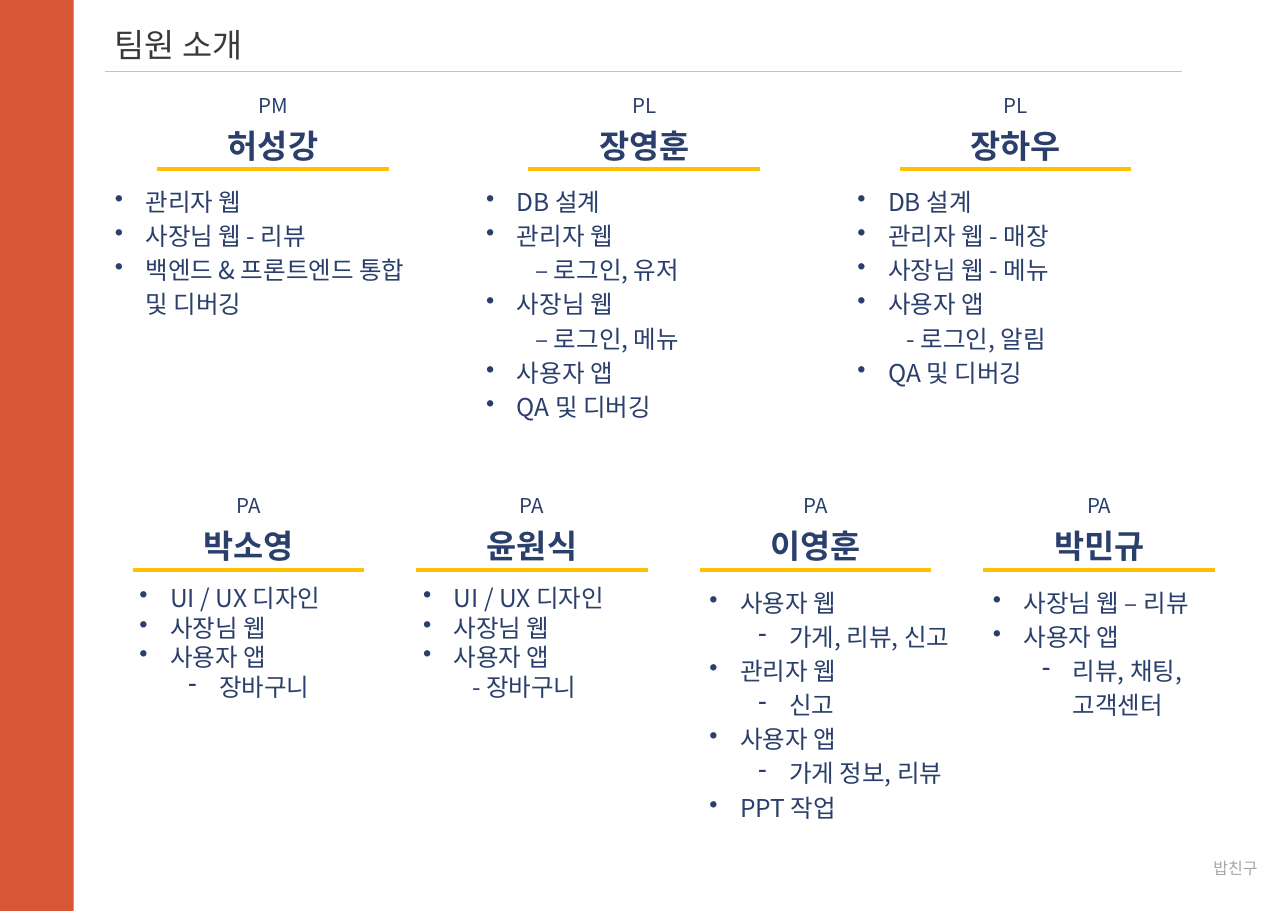
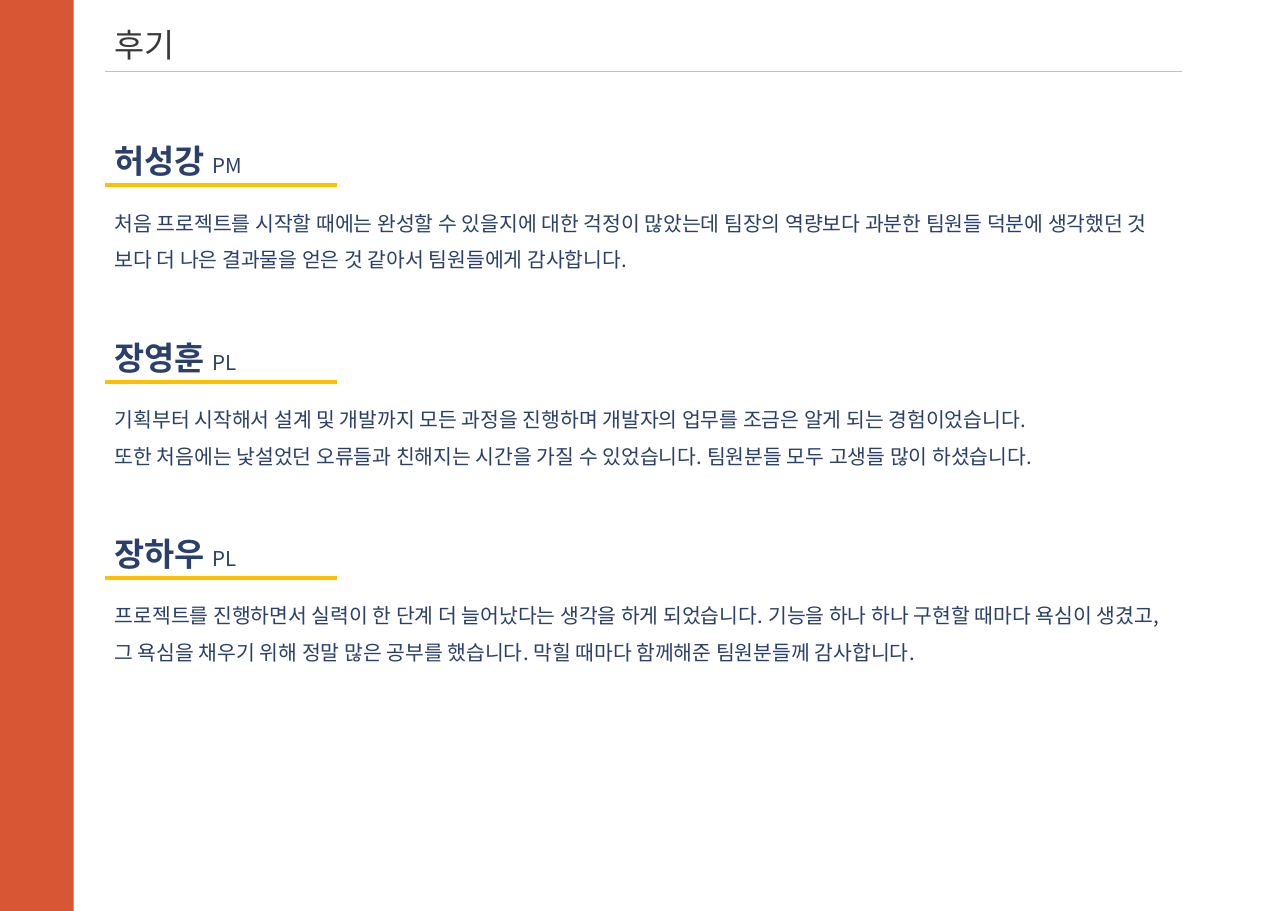
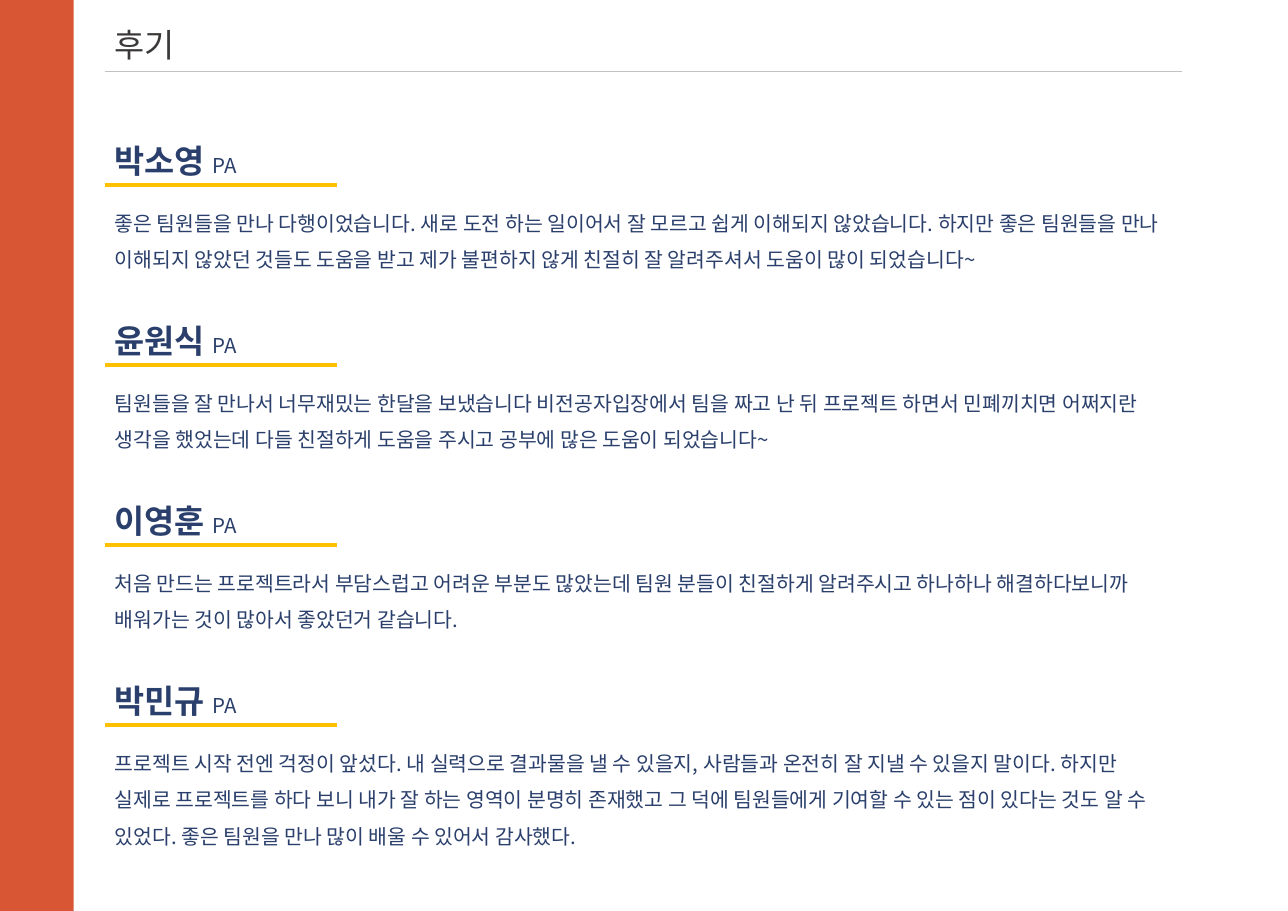
from dataclasses import dataclass
from typing import Optional

import lxml.etree
import pptx
import pptx.dml.color
import pptx.enum.shapes
import pptx.enum.text
import pptx.oxml.ns
import pptx.shapes.base
import pptx.shapes.connector
import pptx.shapes.shapetree
import pptx.slide
import pptx.text.text
import pptx.util

Pt = pptx.util.Pt
RGBColor = pptx.dml.color.RGBColor
Align = pptx.enum.text.PP_ALIGN
Anchor = pptx.enum.text.MSO_ANCHOR

# Shared look
FONT = "Noto Sans CJK KR"
ORANGE = RGBColor(0xD8, 0x56, 0x33)
RULE_GREY = RGBColor(0xC2, 0xC2, 0xC2)
TITLE_GREY = RGBColor(0x3B, 0x38, 0x38)
FOOTER_GREY = RGBColor(0xA6, 0xA6, 0xA6)
NAVY = RGBColor(0x2A, 0x3F, 0x6B)
YELLOW = RGBColor(0xFF, 0xC0, 0x00)

SLIDE_WIDTH, SLIDE_HEIGHT = 944.64, 668.16
MARGIN = 77
HEADING_WIDTH, HEADING_HEIGHT = 170, 36
HANG = 22.5
LEVEL_STEP = 36


@dataclass(frozen=True)
class Task:
    text: str
    level: int = 0
    bullet: str = "•"


@dataclass(frozen=True)
class Member:
    role: str
    name: str
    tasks: list[Task]
    list_shift: float = 0
    list_width: float = 246
    line_pitch: Optional[float] = 25


@dataclass(frozen=True)
class MemberRow:
    left: float
    top: float
    step: float
    members: list[Member]


@dataclass(frozen=True)
class Review:
    role: str
    name: str
    paragraphs: list[str]


UPPER_SHIFT = -38
DESIGN_TASKS = [Task("UI / UX 디자인", 1), Task("사장님 웹", 1), Task("사용자 앱", 1)]

MEMBER_ROWS = [
    MemberRow(115.2, 76.3, 272.3, [
        Member("PM", "허성강", [
            Task("관리자 웹"),
            Task("사장님 웹 - 리뷰"),
            Task("백엔드 & 프론트엔드 통합 및 디버깅"),
        ], UPPER_SHIFT),
        Member("PL", "장영훈", [
            Task("DB 설계"),
            Task("관리자 웹"),
            Task("– 로그인, 유저", 1, ""),
            Task("사장님 웹"),
            Task("– 로그인, 메뉴", 1, ""),
            Task("사용자 앱"),
            Task("QA 및 디버깅"),
        ], UPPER_SHIFT),
        Member("PL", "장하우", [
            Task("DB 설계"),
            Task("관리자 웹 - 매장"),
            Task("사장님 웹 - 메뉴"),
            Task("사용자 앱"),
            Task("- 로그인, 알림", 1, ""),
            Task("QA 및 디버깅"),
        ], UPPER_SHIFT),
    ]),
    MemberRow(97.2, 370.3, 208, [
        Member("PA", "박소영", DESIGN_TASKS + [Task("장바구니", 2, "-")],
               UPPER_SHIFT, line_pitch=None),
        Member("PA", "윤원식", DESIGN_TASKS + [Task("- 장바구니", 2, "")],
               UPPER_SHIFT, line_pitch=None),
        Member("PA", "이영훈", [
            Task("사용자 웹"),
            Task("가게, 리뷰, 신고", 1, "-"),
            Task("관리자 웹"),
            Task("신고", 1, "-"),
            Task("사용자 앱"),
            Task("가게 정보, 리뷰", 1, "-"),
            Task("PPT 작업"),
        ], list_width=208),
        Member("PA", "박민규", [
            Task("사장님 웹 – 리뷰"),
            Task("사용자 앱"),
            Task("리뷰, 채팅, 고객센터", 1, "-"),
        ], list_width=208),
    ]),
]

LEADER_REVIEWS = [
    Review("PM", "허성강", [
        "처음 프로젝트를 시작할 때에는 완성할 수 있을지에 대한 걱정이 많았는데 팀장의 역량보다 "
        "과분한 팀원들 덕분에 생각했던 것 보다 더 나은 결과물을 얻은 것 같아서 팀원들에게 감사합니다.",
    ]),
    Review("PL", "장영훈", [
        "기획부터 시작해서 설계 및 개발까지 모든 과정을 진행하며 개발자의 업무를 조금은 알게 되는 "
        "경험이었습니다.",
        "또한 처음에는 낯설었던 오류들과 친해지는 시간을 가질 수 있었습니다. 팀원분들 모두 고생들 "
        "많이 하셨습니다.",
    ]),
    Review("PL", "장하우", [
        "프로젝트를 진행하면서 실력이 한 단계 더 늘어났다는 생각을 하게 되었습니다. 기능을 하나 하나 "
        "구현할 때마다 욕심이 생겼고, 그 욕심을 채우기 위해 정말 많은 공부를 했습니다. 막힐 때마다 "
        "함께해준 팀원분들께 감사합니다.",
    ]),
]

ASSISTANT_REVIEWS = [
    Review("PA", "박소영", [
        "좋은 팀원들을 만나 다행이었습니다. 새로 도전 하는 일이어서 잘 모르고 쉽게 이해되지 "
        "않았습니다. 하지만 좋은 팀원들을 만나 이해되지 않았던 것들도 도움을 받고 제가 불편하지 않게 "
        "친절히 잘 알려주셔서 도움이 많이 되었습니다~",
    ]),
    Review("PA", "윤원식", [
        "팀원들을 잘 만나서 너무재밌는 한달을 보냈습니다 비전공자입장에서 팀을 짜고 난 뒤 프로젝트 "
        "하면서 민폐끼치면 어쩌지란 생각을 했었는데 다들 친절하게 도움을 주시고 공부에 많은 도움이 "
        "되었습니다~",
    ]),
    Review("PA", "이영훈", [
        "처음 만드는 프로젝트라서 부담스럽고 어려운 부분도 많았는데 팀원 분들이 친절하게 알려주시고 "
        "하나하나 해결하다보니까 배워가는 것이 많아서 좋았던거 같습니다.",
    ]),
    Review("PA", "박민규", [
        "프로젝트 시작 전엔 걱정이 앞섰다. 내 실력으로 결과물을 낼 수 있을지, 사람들과 온전히 잘 "
        "지낼 수 있을지 말이다. 하지만 실제로 프로젝트를 하다 보니 내가 잘 하는 영역이 분명히 "
        "존재했고 그 덕에 팀원들에게 기여할 수 있는 점이 있다는 것도 알 수 있었다. 좋은 팀원을 만나 "
        "많이 배울 수 있어서 감사했다.",
    ]),
]


# Building blocks
def write(para: pptx.text.text._Paragraph, text: str, *, size: float = 15,
          colour: RGBColor = NAVY, bold: bool = False) -> None:
    span = para.add_run()
    span.text = text
    span.font.size = Pt(size)
    span.font.bold = bold
    span.font.color.rgb = colour
    span.font.name = FONT
    properties = span.font._element if hasattr(span.font, "_element") else span.font._rPr
    lxml.etree.SubElement(properties, pptx.oxml.ns.qn("a:ea"), typeface=FONT)


def add_box(shapes: pptx.shapes.shapetree._BaseGroupShapes, left: float, top: float,
            width: float, height: float,
            anchor: Anchor = Anchor.TOP) -> pptx.text.text.TextFrame:
    frame = shapes.add_textbox(Pt(left), Pt(top), Pt(width), Pt(height)).text_frame
    frame.word_wrap = True
    frame.vertical_anchor = anchor
    return frame


def next_para(frame: pptx.text.text.TextFrame, index: int) -> pptx.text.text._Paragraph:
    return frame.add_paragraph() if index else frame.paragraphs[0]


def add_rule(shapes: pptx.shapes.shapetree._BaseGroupShapes, left: float, y: float,
             width: float, colour: RGBColor,
             weight: float) -> pptx.shapes.connector.Connector:
    rule = shapes.add_connector(pptx.enum.shapes.MSO_CONNECTOR.STRAIGHT,
                                Pt(left), Pt(y), Pt(left + width), Pt(y))
    rule.line.color.rgb = colour
    rule.line.width = Pt(weight)
    lxml.etree.SubElement(rule.element.spPr, pptx.oxml.ns.qn("a:effectLst"))
    return rule


def set_indent(para: pptx.text.text._Paragraph, task: Task) -> None:
    hang = HANG if task.bullet else 0
    properties = para._p.get_or_add_pPr()
    properties.set("marL", str(Pt(LEVEL_STEP * task.level + hang)))
    properties.set("indent", str(-Pt(hang)))
    if task.bullet:
        lxml.etree.SubElement(properties, pptx.oxml.ns.qn("a:buChar"), char=task.bullet)


# Band and title rule, placed on the layout
def decorate_layout(layout: pptx.slide.SlideLayout, page: pptx.slide.Slide) -> None:
    band = page.shapes.add_shape(pptx.enum.shapes.MSO_SHAPE.RECTANGLE,
                                 Pt(-1.5), Pt(0), Pt(55.5), Pt(SLIDE_HEIGHT))
    band.shadow.inherit = False
    band.fill.solid()
    band.fill.fore_color.rgb = ORANGE
    band.line.fill.background()
    title_rule = add_rule(page.shapes, MARGIN, 52, 790, RULE_GREY, 0.5)
    for number, shape in enumerate((band, title_rule), start=101):
        shape.element.xpath(".//p:cNvPr")[0].set("id", str(number))
        layout.shapes.element.append(shape.element)


def add_page(deck: pptx.presentation.Presentation, layout: pptx.slide.SlideLayout,
             title: str) -> pptx.slide.Slide:
    page = deck.slides.add_slide(layout)
    holder = page.shapes.title
    holder.left, holder.top = Pt(MARGIN), Pt(14.4)
    holder.width, holder.height = Pt(699), Pt(36)
    frame = holder.text_frame
    frame.vertical_anchor = Anchor.TOP
    frame.auto_size = pptx.enum.text.MSO_AUTO_SIZE.SHAPE_TO_FIT_TEXT
    frame.paragraphs[0].alignment = Align.LEFT
    write(frame.paragraphs[0], title, size=24, colour=TITLE_GREY)
    return page


# Repeated elements
def draw_member(page: pptx.slide.Slide, member: Member, left: float, top: float) -> None:
    shapes = page.shapes.add_group_shape().shapes
    add_rule(shapes, left, top + 47.7, HEADING_WIDTH, YELLOW, 3)

    heading = add_box(shapes, left, top, HEADING_WIDTH, HEADING_HEIGHT, Anchor.MIDDLE)
    role, name = next_para(heading, 0), next_para(heading, 1)
    role.alignment = name.alignment = Align.CENTER
    name.space_before = Pt(6)
    write(role, member.role)
    write(name, member.name, size=24, bold=True)

    listing = add_box(shapes, left + member.list_shift, top + 54, member.list_width, 198)
    for index, task in enumerate(member.tasks):
        para = next_para(listing, index)
        para.level = task.level
        if member.line_pitch:
            para.line_spacing = Pt(member.line_pitch)
        set_indent(para, task)
        write(para, task.text, size=18)


def draw_reviews(page: pptx.slide.Slide, reviews: list[Review], pitch: float) -> None:
    for row, review in enumerate(reviews):
        top = 100 + row * pitch
        shapes = page.shapes.add_group_shape().shapes
        add_rule(shapes, MARGIN, top + HEADING_HEIGHT, HEADING_WIDTH, YELLOW, 3)

        heading = add_box(shapes, MARGIN, top, HEADING_WIDTH, HEADING_HEIGHT, Anchor.MIDDLE)
        write(heading.paragraphs[0], review.name + " ", size=24, bold=True)
        write(heading.paragraphs[0], review.role)

        body = add_box(shapes, MARGIN, top + 42, 791, 72)
        for index, text in enumerate(review.paragraphs):
            para = next_para(body, index)
            para.line_spacing = 1.5
            write(para, text)


def main() -> None:
    deck = pptx.Presentation()
    deck.slide_width, deck.slide_height = Pt(SLIDE_WIDTH), Pt(SLIDE_HEIGHT)
    layout = deck.slide_layouts.get_by_name("Title Only")

    # Team members
    page = add_page(deck, layout, "팀원 소개")
    decorate_layout(layout, page)
    footer = add_box(page.shapes, 610.5, 619.2, 319, 35.3, Anchor.MIDDLE)
    footer.paragraphs[0].alignment = Align.RIGHT
    write(footer.paragraphs[0], "밥친구", size=11.8, colour=FOOTER_GREY)
    for row in MEMBER_ROWS:
        for column, member in enumerate(row.members):
            draw_member(page, member, row.left + column * row.step, row.top)

    # Reviews
    for reviews, pitch in ((LEADER_REVIEWS, 144), (ASSISTANT_REVIEWS, 132)):
        draw_reviews(add_page(deck, layout, "후기"), reviews, pitch)

    deck.save("out.pptx")


if __name__ == "__main__":
    main()
